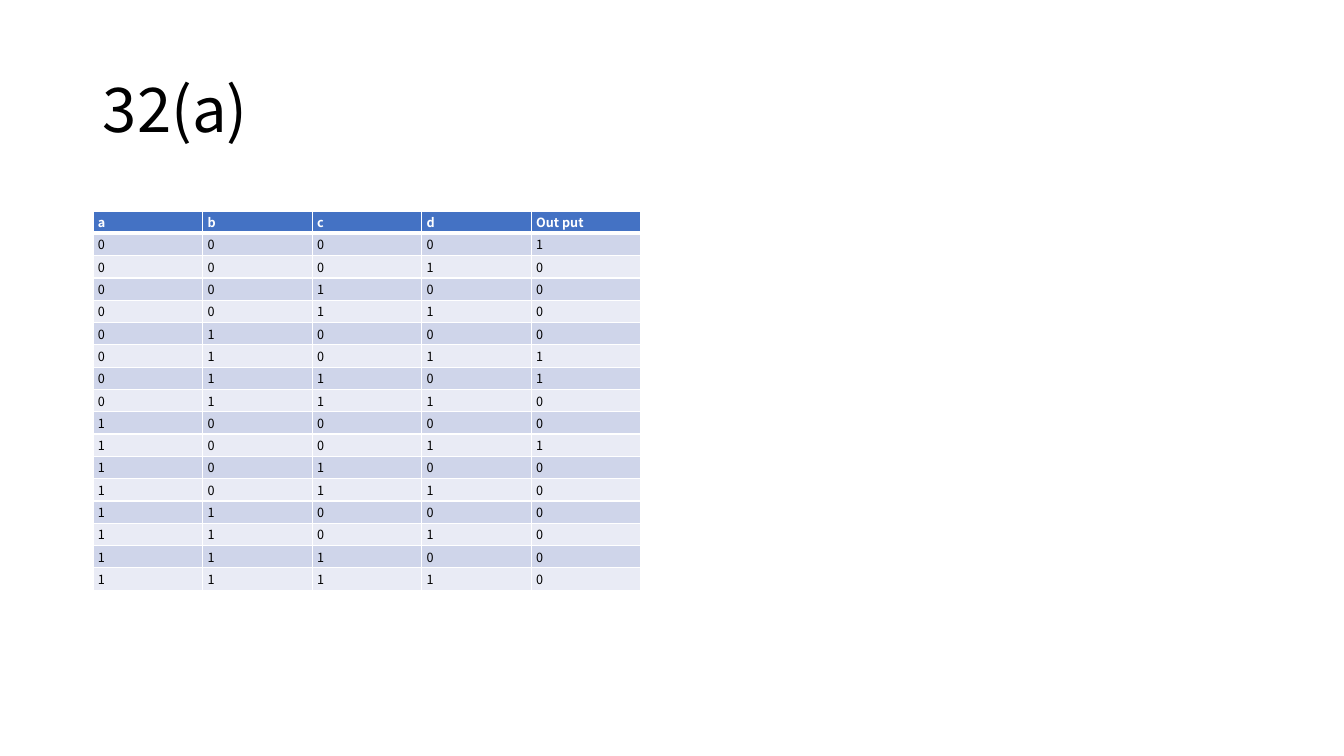
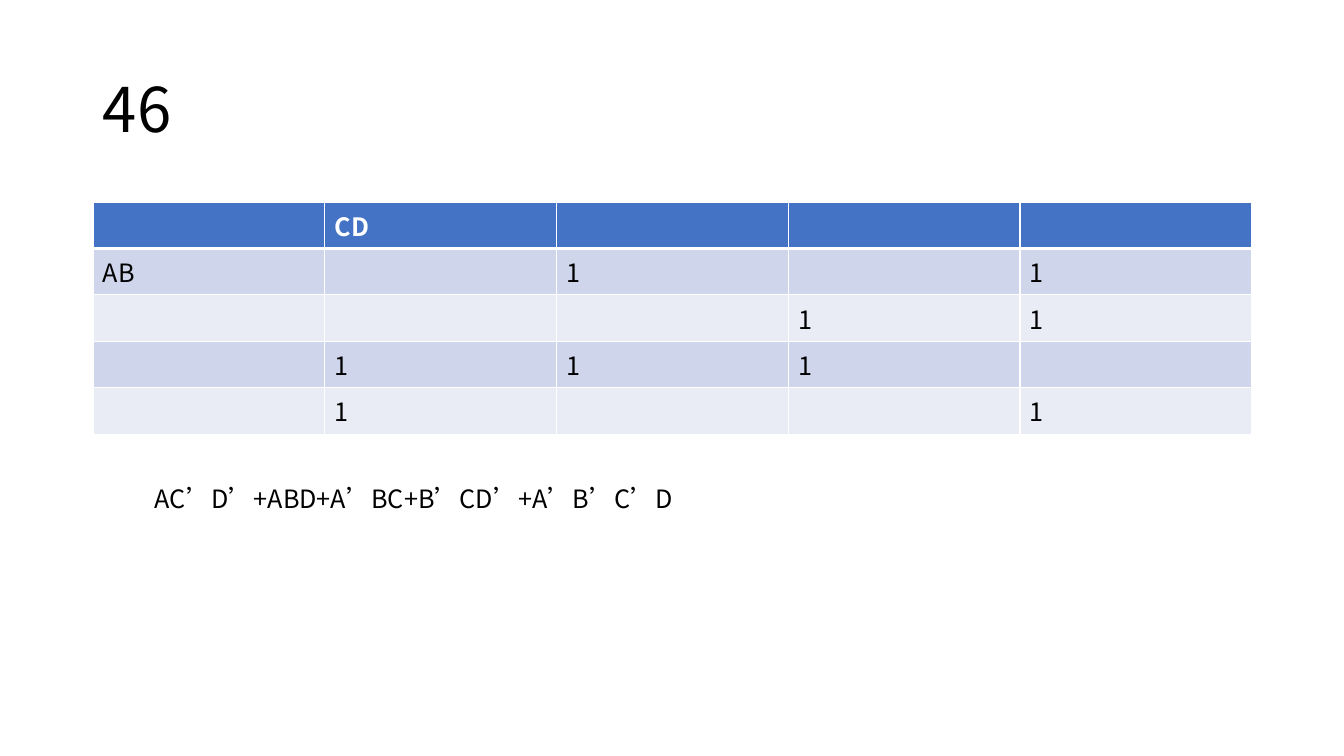
"""Build the truth table and Karnaugh map slides."""
from dataclasses import dataclass
from itertools import product

from lxml.etree import SubElement as Sub
from pptx import Presentation
from pptx.dml.color import RGBColor as Rgb
from pptx.enum.text import MSO_ANCHOR as Anchor, MSO_AUTO_SIZE as AutoSize
from pptx.oxml.ns import qn
from pptx.slide import Slide
from pptx.table import _Cell as Cell
from pptx.text.text import _Paragraph as Paragraph
from pptx.util import Emu, Pt

PX_PER_INCH = 100.8
FONT = "Noto Sans CJK SC"
COLORS = {
    "ink": "000000",
    "white": "FFFFFF",
    "header": "4472C4",
    "odd_row": "CFD5EA",
    "even_row": "E9EBF5",
}
MARGIN_LEFT = 93
CONTENT_WIDTH = 1159


@dataclass(frozen=True)
class Box:
    """Position and size in px."""
    left: int
    top: int
    width: int
    height: int


@dataclass(frozen=True)
class Label:
    """A text box with one line of text."""
    text: str
    box: Box
    size: int
    spacing: float = 1.0
    anchor: Anchor = Anchor.TOP
    auto_size: AutoSize = AutoSize.NONE


@dataclass(frozen=True)
class Grid:
    """A table with a header row and banded body rows."""
    rows: list[list[str]]
    box: Box
    size: int
    inset_x: int
    inset_y: int


def px(length: int) -> Emu:
    """Turn px into EMU."""
    return Emu(round(length * 914400 / PX_PER_INCH))


def add_run(paragraph: Paragraph, text: str, size: int,
            color: str = "ink", bold: bool = False) -> None:
    """Add one run in the shared font."""
    run = paragraph.add_run()
    run.text = text
    run.font.name = FONT
    run.font.size = Pt(size)
    run.font.bold = bold
    run.font.color.rgb = Rgb.from_string(COLORS[color])
    Sub(run.font._element, qn("a:ea"), typeface=FONT)


def add_label(slide: Slide, label: Label) -> None:
    """Draw a text box."""
    box = label.box
    frame = slide.shapes.add_textbox(
        px(box.left), px(box.top), px(box.width), px(box.height)).text_frame
    frame.word_wrap = True
    frame.auto_size = label.auto_size
    frame.vertical_anchor = label.anchor
    paragraph = frame.paragraphs[0]
    paragraph.line_spacing = label.spacing
    add_run(paragraph, label.text, label.size)


def add_title(slide: Slide, text: str) -> None:
    """Draw the slide title."""
    add_label(slide, Label(text, Box(MARGIN_LEFT, 40, CONTENT_WIDTH, 146), 44,
                           spacing=0.9, anchor=Anchor.MIDDLE))


def add_borders(cell: Cell, top: int, bottom: int) -> None:
    """Give a cell white borders with widths in points."""
    properties = cell._tc.get_or_add_tcPr()
    for side, width in {"L": 1, "R": 1, "T": top, "B": bottom}.items():
        line = Sub(properties, qn(f"a:ln{side}"), w=str(Pt(width)))
        Sub(Sub(line, qn("a:solidFill")), qn("a:srgbClr"), val=COLORS["white"])


def add_grid(slide: Slide, grid: Grid) -> None:
    """Draw a table."""
    box = grid.box
    table = slide.shapes.add_table(
        len(grid.rows), len(grid.rows[0]),
        px(box.left), px(box.top), px(box.width), px(box.height)).table
    for row, texts in enumerate(grid.rows):
        is_header = row == 0
        band = "header" if is_header else "odd_row" if row % 2 else "even_row"
        for column, text in enumerate(texts):
            cell = table.cell(row, column)
            add_borders(cell, top=3 if row == 1 else 1,
                        bottom=3 if is_header else 1)
            cell.fill.solid()
            cell.fill.fore_color.rgb = Rgb.from_string(COLORS[band])
            cell.margin_left = cell.margin_right = px(grid.inset_x)
            cell.margin_top = cell.margin_bottom = px(grid.inset_y)
            if text:
                add_run(cell.text_frame.paragraphs[0], text, grid.size,
                        "white" if is_header else "ink", is_header)


def truth_rows() -> list[list[str]]:
    """List every input combination with its output."""
    minterms = {"0000", "0101", "0110", "1001"}
    body = [[*bits, "1" if "".join(bits) in minterms else "0"]
            for bits in product("01", repeat=4)]
    return [["a", "b", "c", "d", "Out put"], *body]


def build_truth_table(slide: Slide) -> None:
    """Build the truth table slide."""
    add_title(slide, "32(a)")
    add_grid(slide, Grid(truth_rows(), Box(MARGIN_LEFT, 211, 548, 338),
                         size=9, inset_x=5, inset_y=2))


def build_karnaugh_map(slide: Slide) -> None:
    """Build the Karnaugh map slide."""
    add_title(slide, "46")
    karnaugh_rows = [
        ["", "CD", "", "", ""],
        ["AB", "", "1", "", "1"],
        ["", "", "", "1", "1"],
        ["", "1", "1", "1", ""],
        ["", "1", "", "", "1"],
    ]
    add_grid(slide, Grid(karnaugh_rows,
                         Box(MARGIN_LEFT, 202, CONTENT_WIDTH, 205),
                         size=18, inset_x=10, inset_y=5))
    add_label(slide, Label("AC’D’+ABD+A’BC+B’CD’+A’B’C’D",
                           Box(145, 478, 793, 40), 18,
                           auto_size=AutoSize.SHAPE_TO_FIT_TEXT))


def main() -> None:
    """Build and save the presentation."""
    deck = Presentation()
    deck.slide_width, deck.slide_height = px(1344), px(756)
    blank = deck.slide_layouts[6]
    for build in (build_truth_table, build_karnaugh_map):
        build(deck.slides.add_slide(blank))
    deck.save("out.pptx")


if __name__ == "__main__":
    main()
